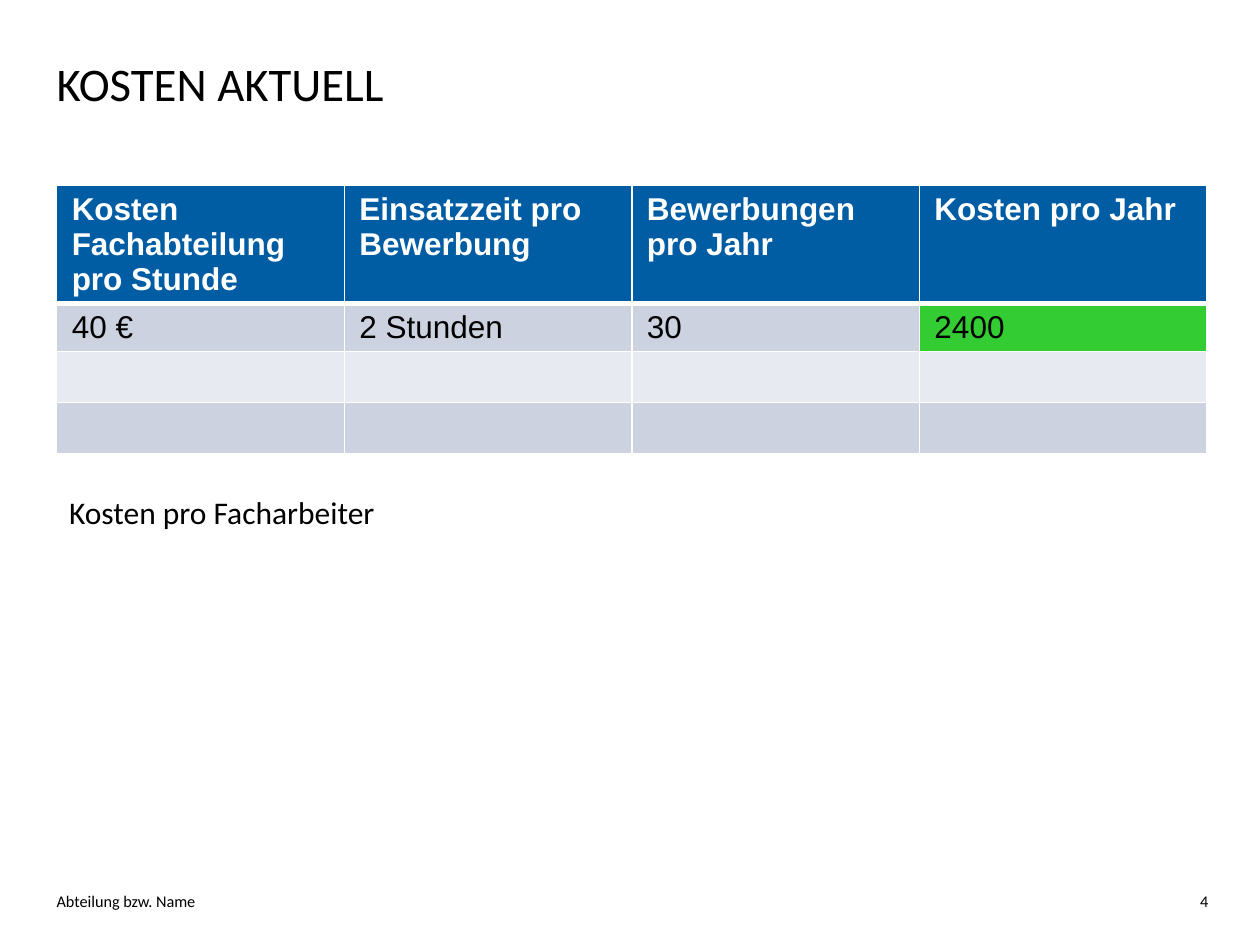
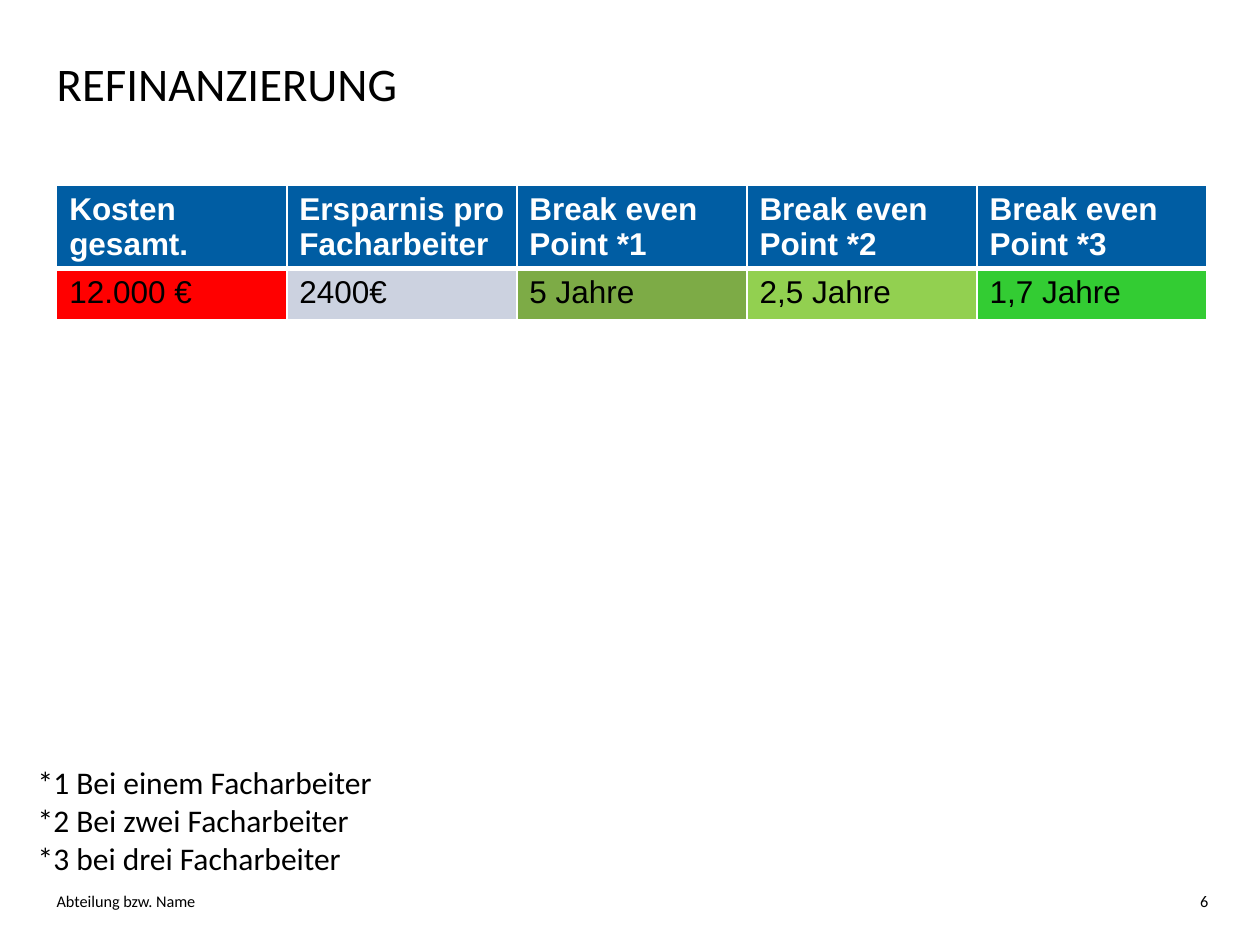
"""Build two cost slides, each with a table, a note and a footer."""
from dataclasses import dataclass

from lxml import etree
from pptx import Presentation
from pptx import util as u
from pptx.dml import color
from pptx.enum import text
from pptx.oxml import ns

WIDE, HIGH = 10, 7.5
BLACK, WHITE, BLUE = "000000", "FFFFFF", "005DA3"
GREY, PALE = "CCD2E0", "E7EAF0"
RED, GREEN, LIME, MOSS = "FF0000", "33CC33", "92D050", "7DAB46"
HEAD_FONT, CELL_FONT = "Calibri", "Arial"
FOOT = "Abteilung bzw. Name"


@dataclass
class Box:
    """A place on the slide, in percent of its width and height."""
    left: float
    top: float
    width: float
    height: float

    def place(self) -> tuple:
        """Return the place as slide lengths."""
        across, down = WIDE / 100, HIGH / 100
        return (u.Inches(self.left * across), u.Inches(self.top * down),
                u.Inches(self.width * across), u.Inches(self.height * down))


@dataclass
class Style:
    """The look of a run of text."""
    size: float
    font: str = HEAD_FONT
    tint: str = BLACK
    bold: bool = False


@dataclass
class Grid:
    """A table: texts and fills by row, row heights in percent."""
    rows: list
    fills: list
    highs: list
    inset: float


@dataclass
class Page:
    """The content of one slide."""
    title: str
    number: str
    grid: Grid
    note: Box
    lines: list


TITLE = Box(3.5, 3.2, 92.5, 11.2)
LEFT_FOOT = Box(4.5, 93.6, 45, 3.5)
RIGHT_FOOT = Box(65.2, 93.6, 30.7, 3.5)
TABLE = Box(4.5, 19.6, 91.3, 28.4)

TITLE_STYLE, FOOT_STYLE, NOTE_STYLE = Style(26.7), Style(9.3), Style(18)
HEAD_STYLE = Style(18, CELL_FONT, WHITE, True)
CELL_STYLE = Style(18, CELL_FONT)

PAGES = [
    Page("KOSTEN AKTUELL", "4",
         Grid([["Kosten Fachabteilung pro Stunde", "Einsatzzeit pro Bewerbung",
                "Bewerbungen pro Jahr", "Kosten pro Jahr"],
               ["40 €", "2 Stunden", "30", "2400"], [""] * 4, [""] * 4],
              [[BLUE] * 4, [GREY] * 3 + [GREEN], [PALE] * 4, [GREY] * 4],
              [12.4, 5, 5.4, 5.4], 0.12),
         Box(4.5, 51.5, 26.6, 5.33), ["Kosten pro Facharbeiter"]),
    Page("REFINANZIERUNG", "6",
         Grid([["Kosten gesamt.", "Ersparnis pro Facharbeiter",
                "Break even Point *1", "Break even Point *2",
                "Break even Point *3"],
               ["12.000 €", "2400€", "5 Jahre", "2,5 Jahre", "1,7 Jahre"]],
              [[BLUE] * 5, [RED, GREY, MOSS, LIME, GREEN]],
              [8.7, 5.4], 0.1),
         Box(2, 80.1, 28.9, 13.5),
         ["*1 Bei einem Facharbeiter", "*2 Bei zwei Facharbeiter",
          "*3 bei drei Facharbeiter"]),
]


def paint(fill, tint: str) -> None:
    """Give a fill one solid colour."""
    fill.solid()
    fill.fore_color.rgb = color.RGBColor.from_string(tint)


def write(frame, lines: list, style: Style, align=text.PP_ALIGN.LEFT) -> None:
    """Write each line as a paragraph with one run."""
    for i, line in enumerate(lines):
        para = frame.add_paragraph() if i else frame.paragraphs[0]
        para.alignment = align
        run = para.add_run()
        run.text = line
        run.font.name = style.font
        run.font.size = u.Pt(style.size)
        run.font.bold = style.bold
        paint(run.font.fill, style.tint)


def edge(cell, side: str, width: float) -> None:
    """Draw one white border of a cell."""
    line = etree.SubElement(cell._tc.get_or_add_tcPr(), ns.qn("a:ln" + side),
                            w=str(u.Pt(width)))
    fill = etree.SubElement(line, ns.qn("a:solidFill"))
    etree.SubElement(fill, ns.qn("a:srgbClr"), val=WHITE)


def add_title(slide, title: str) -> None:
    """Move, format and fill the title placeholder."""
    shape = slide.shapes.title
    shape.left, shape.top, shape.width, shape.height = TITLE.place()
    frame = shape.text_frame
    frame.auto_size = text.MSO_AUTO_SIZE.NONE
    frame.vertical_anchor = text.MSO_ANCHOR.MIDDLE
    write(frame, [title], TITLE_STYLE)


def add_grid(slide, grid: Grid) -> None:
    """Draw a table with equal columns."""
    count = len(grid.rows[0])
    table = slide.shapes.add_table(len(grid.rows), count, *TABLE.place()).table
    for col in table.columns:
        col.width = u.Inches(TABLE.width / 100 * WIDE / count)
    for r, (words, fills, high) in enumerate(
            zip(grid.rows, grid.fills, grid.highs)):
        table.rows[r].height = u.Inches(high / 100 * HIGH)
        for c, (word, tint) in enumerate(zip(words, fills)):
            cell = table.cell(r, c)
            cell.margin_left = cell.margin_right = u.Inches(grid.inset)
            for side in "LRTB":
                thick = (r, side) in ((0, "B"), (1, "T"))
                edge(cell, side, 3 if thick else 1)
            paint(cell.fill, tint)
            if word:
                style = CELL_STYLE if r else HEAD_STYLE
                write(cell.text_frame, [word], style)


def add_foot(slide, box: Box, word: str, align) -> None:
    """Draw one part of the footer."""
    frame = slide.shapes.add_textbox(*box.place()).text_frame
    frame.word_wrap = True
    frame.margin_left = frame.margin_right = 0
    write(frame, [word], FOOT_STYLE, align)


def add_note(slide, box: Box, lines: list) -> None:
    """Draw the note beneath the table."""
    frame = slide.shapes.add_textbox(*box.place()).text_frame
    frame.word_wrap = False
    frame.auto_size = text.MSO_AUTO_SIZE.SHAPE_TO_FIT_TEXT
    write(frame, lines, NOTE_STYLE)


def main() -> None:
    """Build and save the slides."""
    deck = Presentation()
    deck.slide_width, deck.slide_height = u.Inches(WIDE), u.Inches(HIGH)
    for page in PAGES:
        slide = deck.slides.add_slide(deck.slide_layouts[5])
        paint(slide.background.fill, WHITE)
        add_grid(slide, page.grid)
        add_title(slide, page.title)
        add_foot(slide, LEFT_FOOT, FOOT, text.PP_ALIGN.LEFT)
        add_foot(slide, RIGHT_FOOT, page.number, text.PP_ALIGN.RIGHT)
        add_note(slide, page.note, page.lines)
    deck.save("out.pptx")


if __name__ == "__main__":
    main()
